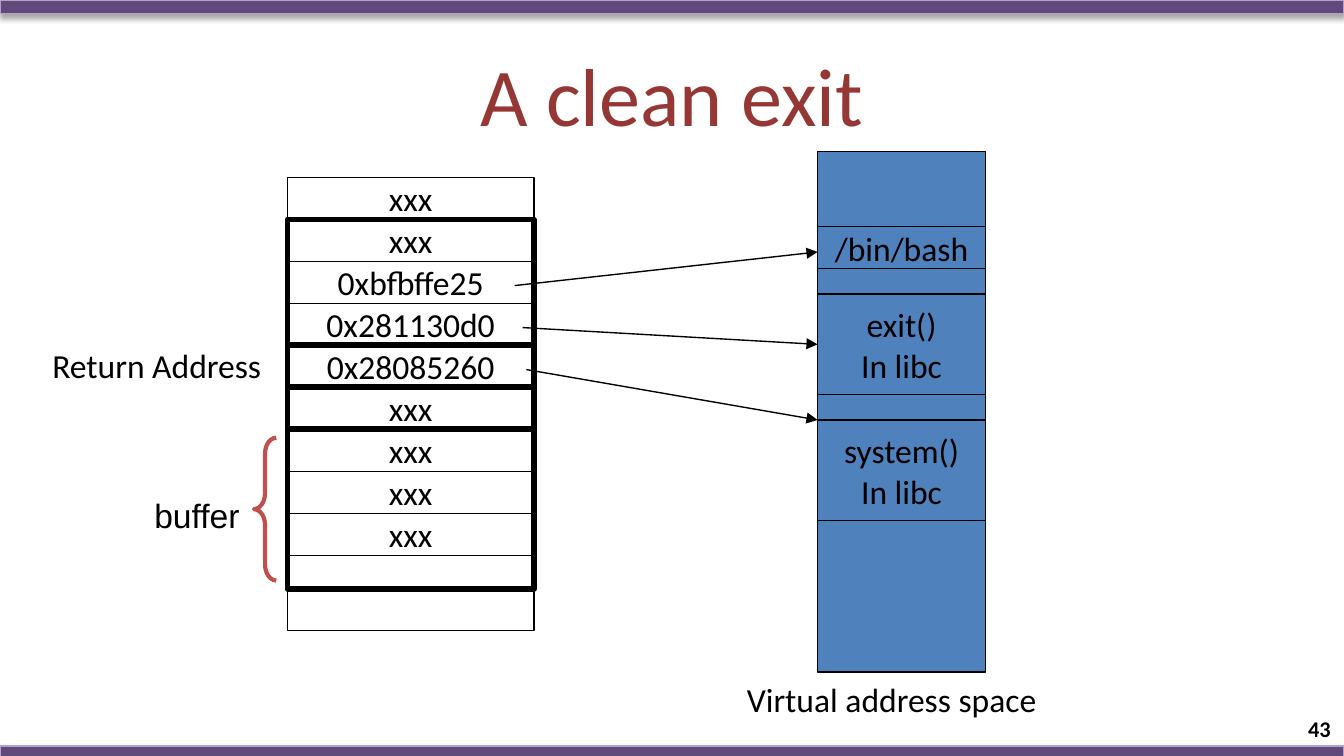
from lxml.etree import SubElement
from pptx import Presentation
from pptx.dml.color import RGBColor
from pptx.enum.shapes import MSO_CONNECTOR, MSO_SHAPE
from pptx.enum.text import MSO_ANCHOR, PP_ALIGN
from pptx.oxml.ns import qn
from pptx.util import Pt

SLIDE_WIDTH, SLIDE_HEIGHT = 720, 405
BLACK, BLUE, RED = "000000", "4F81BD", "C0504D"
PURPLE, LILAC, MAROON = "604A7B", "B3A2C7", "953735"

# Stack: row position and text; frames: first row and number of rows
STACK_LEFT, STACK_TOP, STACK_WIDTH, ROW_HEIGHT = 154, 95, 132, 22.5
STACK_ROWS = [
    (0, "xxx"), (1, "xxx"), (2, "0xbfbffe25"), (3, "0x281130d0"),
    (4, "0x28085260"), (5, "xxx"), (6, "xxx"), (7, "xxx"), (8, "xxx"), (9.8, ""),
]
STACK_FRAMES = [(6, 3.8), (5, 1), (4, 1), (1, 3)]

# Address space: top, height, text
SPACE_LEFT, SPACE_WIDTH = 438, 90
SPACE_REGIONS = [
    (81, 40.5, ""), (121.5, 22.5, "/bin/bash"), (144, 81, ""),
    (157.5, 54, "exit()\nIn libc"), (225, 54, "system()\nIn libc"), (279, 81, ""),
]
# Start x, start y, end y
POINTERS = [(275.75, 153, 135), (280, 175.5, 184.5), (282, 198, 225)]

prs = Presentation()
prs.slide_width, prs.slide_height = Pt(SLIDE_WIDTH), Pt(SLIDE_HEIGHT)
slide = prs.slides.add_slide(prs.slide_layouts[6])


def color(value):
    return RGBColor.from_string(value)


def write(shape, text, size=18, font="Calibri", ink=BLACK, align=PP_ALIGN.CENTER,
          anchor=MSO_ANCHOR.MIDDLE, wrap=False, bold=None):
    frame = shape.text_frame
    frame.text = text
    frame.word_wrap = wrap
    frame.vertical_anchor = anchor
    for paragraph in frame.paragraphs:
        paragraph.alignment = align
        paragraph.font.size = Pt(size)
        paragraph.font.name = font
        paragraph.font.bold = bold
        paragraph.font.color.rgb = color(ink)


def add_box(left, top, width, height, fill=None, line=BLACK, weight=0.75,
            text="", kind=MSO_SHAPE.RECTANGLE):
    box = slide.shapes.add_shape(kind, Pt(left), Pt(top), Pt(width), Pt(height))
    box.shadow.inherit = False
    if fill:
        box.fill.solid()
        box.fill.fore_color.rgb = color(fill)
    else:
        box.fill.background()
    box.line.color.rgb = color(line)
    box.line.width = Pt(weight)
    if text:
        write(box, text)
    return box


def add_label(left, top, width, height, text, **style):
    label = slide.shapes.add_textbox(Pt(left), Pt(top), Pt(width), Pt(height))
    write(label, text, **style)


def add_soft_shadow(shape):
    effects = shape._element.spPr.find(qn("a:effectLst"))
    shadow = SubElement(effects, qn("a:outerShdw"), blurRad=str(Pt(3.1)),
                        dist=str(Pt(1.8)), dir="5400000", rotWithShape="0")
    shade = SubElement(shadow, qn("a:srgbClr"), val=BLACK)
    SubElement(shade, qn("a:alpha"), val="35000")


def add_pointer(start_x, start_y, end_y):
    pointer = slide.shapes.add_connector(
        MSO_CONNECTOR.STRAIGHT, Pt(start_x), Pt(start_y), Pt(SPACE_LEFT), Pt(end_y))
    pointer.line.color.rgb = color(BLACK)
    pointer.line.width = Pt(0.75)
    SubElement(pointer.line._get_or_add_ln(), qn("a:tailEnd"), type="triangle")
    SubElement(pointer._element.spPr, qn("a:effectLst"))
    for region, (top, height, content) in zip(regions, SPACE_REGIONS):
        if content and top + height / 2 == end_y:
            pointer.end_connect(region, 1)


for bar_top in (0, 399.6):
    add_soft_shadow(add_box(0, bar_top, SLIDE_WIDTH, 7.2, PURPLE, LILAC))
add_label(36, 16.5, 648, 67.5, "A clean exit", size=44, ink=MAROON, wrap=True)

for row, value in STACK_ROWS:
    add_box(STACK_LEFT, STACK_TOP + row * ROW_HEIGHT, STACK_WIDTH, ROW_HEIGHT, text=value)
for row, count in STACK_FRAMES:
    add_box(STACK_LEFT, STACK_TOP + row * ROW_HEIGHT, STACK_WIDTH, count * ROW_HEIGHT, weight=3)

brace = add_box(136, 234.5, 12, 76.5, line=RED, weight=2.25, kind=MSO_SHAPE.LEFT_BRACE)
brace.adjustments[0] = 0.71
add_label(75.6, 261.5, 61, 29, "buffer", font="Arial", align=PP_ALIGN.LEFT,
          anchor=MSO_ANCHOR.TOP)
add_label(18, STACK_TOP + 4 * ROW_HEIGHT - 0.5, STACK_WIDTH, ROW_HEIGHT, "Return Address")

regions = [add_box(SPACE_LEFT, top, SPACE_WIDTH, height, BLUE, text=content)
           for top, height, content in SPACE_REGIONS]
for start_x, start_y, end_y in POINTERS:
    add_pointer(start_x, start_y, end_y)
add_label(393, 360, 191, 29, "Virtual address space", align=PP_ALIGN.LEFT,
          anchor=MSO_ANCHOR.TOP, wrap=True)
add_label(552, 379.5, 168, 21.5, "43", size=12, bold=True, align=PP_ALIGN.RIGHT, wrap=True)

prs.save("out.pptx")
